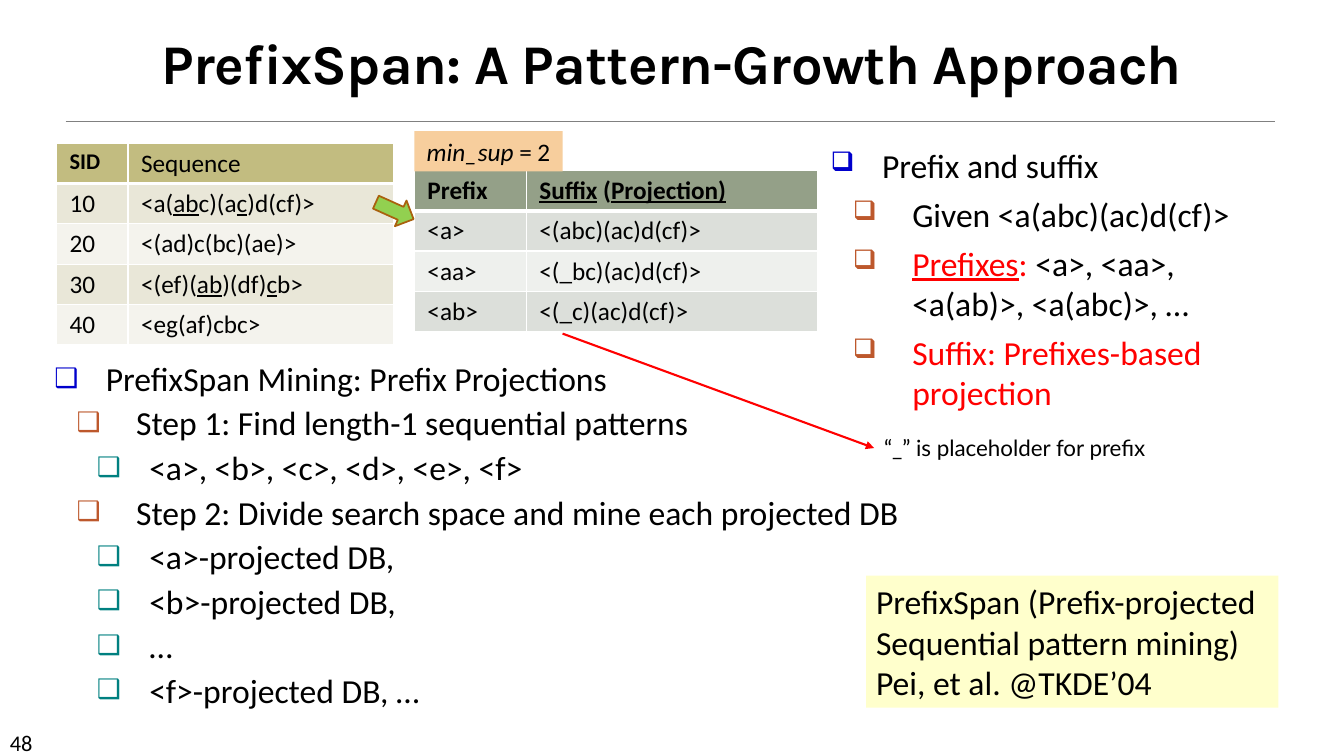
import dataclasses

import lxml.etree
import pptx
import pptx.dml.color
import pptx.enum.shapes
import pptx.enum.text
import pptx.oxml.ns
import pptx.util

Inches = pptx.util.Inches
Pt = pptx.util.Pt
qn = pptx.oxml.ns.qn
Shapes = pptx.enum.shapes.MSO_SHAPE
Align = pptx.enum.text.PP_ALIGN
Anchor = pptx.enum.text.MSO_ANCHOR


@dataclasses.dataclass(frozen=True)
class Theme:
    font: str = "Calibri"
    title_font: str = "Karla"
    note_font: str = "Lato"
    title_size: int = 40
    body_size: int = 24
    table_size: int = 18
    small_size: int = 16
    black: str = "000000"
    white: str = "FFFFFF"
    red: str = "FF0000"
    rule: str = "808080"
    cream: str = "FFFFCC"
    peach: str = "F7CE9D"
    green: str = "92D050"
    brown: str = "A9610D"
    sequence_fills: tuple = ("C2BC80", "E9E7D8", "F4F3ED")
    prefix_fills: tuple = ("94A088", "DCDFDA", "EEF0ED")
    bullets: tuple = (("0000CC", 0.51, -0.51), ("BD582C", 0.81, -0.59), ("008080", 0.94, -0.52))


def rgb(color):
    return pptx.dml.color.RGBColor.from_string(color)


def add_xml(parent, tag, **attributes):
    return lxml.etree.SubElement(parent, qn(tag), attributes)


class SlideBuilder:
    def __init__(self, slide, theme):
        self.slide = slide
        self.theme = theme

    def style(self, para, size, font=None, color=None, bold=False):
        para.font.name = font or self.theme.font
        para.font.size = Pt(size)
        para.font.bold = bold
        para.font.color.rgb = rgb(color or self.theme.black)

    def add_spans(self, para, text, italic=False):
        for index, part in enumerate(text.split("|")):
            if part:
                span = para.add_run()
                span.text = part
                if index % 2 and italic:
                    span.font.italic = True
                elif index % 2:
                    span.font.underline = True

    def place(self, shape, left, top, width, height):
        shape.left, shape.top = Inches(left), Inches(top)
        shape.width, shape.height = Inches(width), Inches(height)

    def title(self, text, *area):
        box = self.slide.shapes.title
        self.place(box, *area)
        frame = box.text_frame
        frame.auto_size = pptx.enum.text.MSO_AUTO_SIZE.NONE
        frame.vertical_anchor = Anchor.BOTTOM
        para = frame.paragraphs[0]
        para.alignment = Align.CENTER
        para.line_spacing = 0.85
        self.add_spans(para, text)
        para.runs[0]._r.get_or_add_rPr().set("spc", "-50")
        self.style(para, self.theme.title_size, self.theme.title_font, bold=True)

    def bullets(self, box, items, gap, *area):
        self.place(box, *area)
        frame = box.text_frame
        frame.word_wrap = True
        frame.auto_size = pptx.enum.text.MSO_AUTO_SIZE.NONE
        for index, (level, text, color) in enumerate(items):
            para = frame.add_paragraph() if index else frame.paragraphs[0]
            para.level = level
            para.space_before = Pt(gap if index else 0)
            bullet_color, margin, indent = self.theme.bullets[level]
            properties = para._p.get_or_add_pPr()
            properties.set("marL", str(Inches(margin)))
            properties.set("indent", str(Inches(indent)))
            add_xml(add_xml(properties, "a:buClr"), "a:srgbClr", val=bullet_color)
            add_xml(properties, "a:buSzPct", val="80000")
            add_xml(properties, "a:buChar", char="❑")
            self.add_spans(para, text)
            self.style(para, self.theme.body_size, color=color)
        return frame

    def text_box(self, text, size, font, *area):
        box = self.slide.shapes.add_textbox(*map(Inches, area))
        box.text_frame.word_wrap = True
        para = box.text_frame.paragraphs[0]
        self.add_spans(para, text)
        self.style(para, size, font)
        return box

    def shape(self, kind, fill, *area, line=None):
        shape = self.slide.shapes.add_shape(kind, *map(Inches, area))
        shape.shadow.inherit = False
        shape.fill.solid()
        shape.fill.fore_color.rgb = rgb(fill)
        if line:
            shape.line.color.rgb = rgb(line)
            shape.line.width = Pt(1.25)
        else:
            shape.line.fill.background()
        return shape

    def label(self, text, size, align, fill, *area):
        box = self.shape(Shapes.RECTANGLE, fill, *area)
        box.text_frame.word_wrap = True
        para = box.text_frame.paragraphs[0]
        para.alignment = align
        self.add_spans(para, text, italic=True)
        self.style(para, size)

    def line(self, start, end, color, width, arrow=False):
        line = self.slide.shapes.add_connector(
            pptx.enum.shapes.MSO_CONNECTOR.STRAIGHT, *map(Inches, start + end))
        line.line.color.rgb = rgb(color)
        line.line.width = Pt(width)
        if arrow:
            add_xml(line._element.spPr.get_or_add_ln(), "a:tailEnd", type="triangle")
        add_xml(line._element.spPr, "a:effectLst")
        return line

    def cell_border(self, cell, row):
        properties = cell._tc.get_or_add_tcPr()
        widths = {"L": 1, "R": 1, "T": 3 if row == 1 else 1, "B": 1 if row else 3}
        for side, width in widths.items():
            edge = add_xml(properties, "a:ln" + side, w=str(Pt(width)))
            add_xml(add_xml(edge, "a:solidFill"), "a:srgbClr", val=self.theme.white)

    def table(self, rows, fills, left, top, widths, row_height):
        table = self.slide.shapes.add_table(
            len(rows), len(widths), Inches(left), Inches(top),
            Inches(sum(widths)), Inches(row_height * len(rows))).table
        for column, width in zip(table.columns, widths):
            column.width = Inches(width)
        for r, texts in enumerate(rows):
            for c, text in enumerate(texts):
                cell = table.cell(r, c)
                cell.margin_left = cell.margin_right = Inches(0.13)
                self.cell_border(cell, r)
                cell.fill.solid()
                cell.fill.fore_color.rgb = rgb(fills[2 - r % 2 if r else 0])
                para = cell.text_frame.paragraphs[0]
                self.add_spans(para, text)
                bold = r == 0 and text != "Sequence"
                size = self.theme.small_size if text == "SID" else self.theme.table_size
                self.style(para, size, bold=bold)


def main():
    theme = Theme()
    deck = pptx.Presentation()
    deck.slide_width, deck.slide_height = Inches(13.33), Inches(7.5)
    page = deck.slides.add_slide(deck.slide_layouts[1])
    builder = SlideBuilder(page, theme)

    builder.line((0.65, 1.2), (12.65, 1.2), theme.rule, 0.5)
    builder.text_box("48", theme.small_size, theme.font, 0, 7.18, 1.17, 0.3)
    builder.title("PrefixSpan: A Pattern-Growth Approach", 0.22, 0.17, 12.89, 0.83)

    steps = [(0, "PrefixSpan Mining: Prefix Projections"),
             (1, "Step 1: Find length-1 sequential patterns"),
             (2, "<a>, <b>, <c>, <d>, <e>, <f>"),
             (1, "Step 2: Divide search space and mine each projected DB"),
             (2, "<a>-projected DB,"),
             (2, "<b>-projected DB,"),
             (2, "…"),
             (2, "<f>-projected DB, …")]
    builder.bullets(page.placeholders[1], [(level, text, theme.black) for level, text in steps],
                    3, 0.44, 3.5, 9.22, 3.67)

    sequences = [("SID", "Sequence"),
                 ("10", "<a(|ab|c)(a|c|)d(cf)>"),
                 ("20", "<(ad)c(bc)(ae)>"),
                 ("30", "<(ef)(|ab|)(df)|c|b>"),
                 ("40", "<eg(af)cbc>")]
    builder.table(sequences, theme.sequence_fills, 0.56, 1.42, (0.71, 2.63), 0.4)
    projections = [("Prefix", "|Suffix| (|Projection)"),
                   ("<a>", "<(abc)(ac)d(cf)>"),
                   ("<aa>", "<(_bc)(ac)d(cf)>"),
                   ("<ab>", "<(_c)(ac)d(cf)>")]
    builder.table(projections, theme.prefix_fills, 4.11, 1.69, (1.11, 2.89), 0.4)

    definitions = [(0, "Prefix and suffix", theme.black),
                   (1, "Given <a(abc)(ac)d(cf)>", theme.black),
                   (1, "|Prefixes|:| <a>, <aa>, <a(ab)>, <a(abc)>, …", theme.red),
                   (1, "Suffix: Prefixes-based projection", theme.red)]
    box = page.shapes.add_textbox(0, 0, 0, 0)
    frame = builder.bullets(box, definitions, 6, 8.14, 1.39, 4.54, 2.76)
    examples = frame.paragraphs[2].runs[2]
    examples.font.underline = False
    examples.font.color.rgb = rgb(theme.black)

    builder.label("PrefixSpan (Prefix-projected Sequential pattern mining) Pei, et al. @TKDE’04",
                  theme.body_size, Align.LEFT, theme.cream, 8.59, 5.71, 4.09, 1.31)
    arrow = builder.shape(Shapes.RIGHT_ARROW, theme.green, 3.71, 1.95, 0.41, 0.28, line=theme.brown)
    arrow.rotation = 24.2
    builder.label("|min_sup |= 2", theme.table_size, Align.CENTER, theme.peach, 4.11, 1.3, 1.47, 0.4)

    note = builder.text_box("“_” is placeholder for prefix", theme.small_size, theme.note_font,
                            8.67, 4.26, 2.9, 0.37)
    pointer = builder.line((5.58, 3.31), (8.66, 4.45), theme.red, 1.5, arrow=True)
    pointer.end_connect(note, 1)

    deck.save("out.pptx")


if __name__ == "__main__":
    main()
